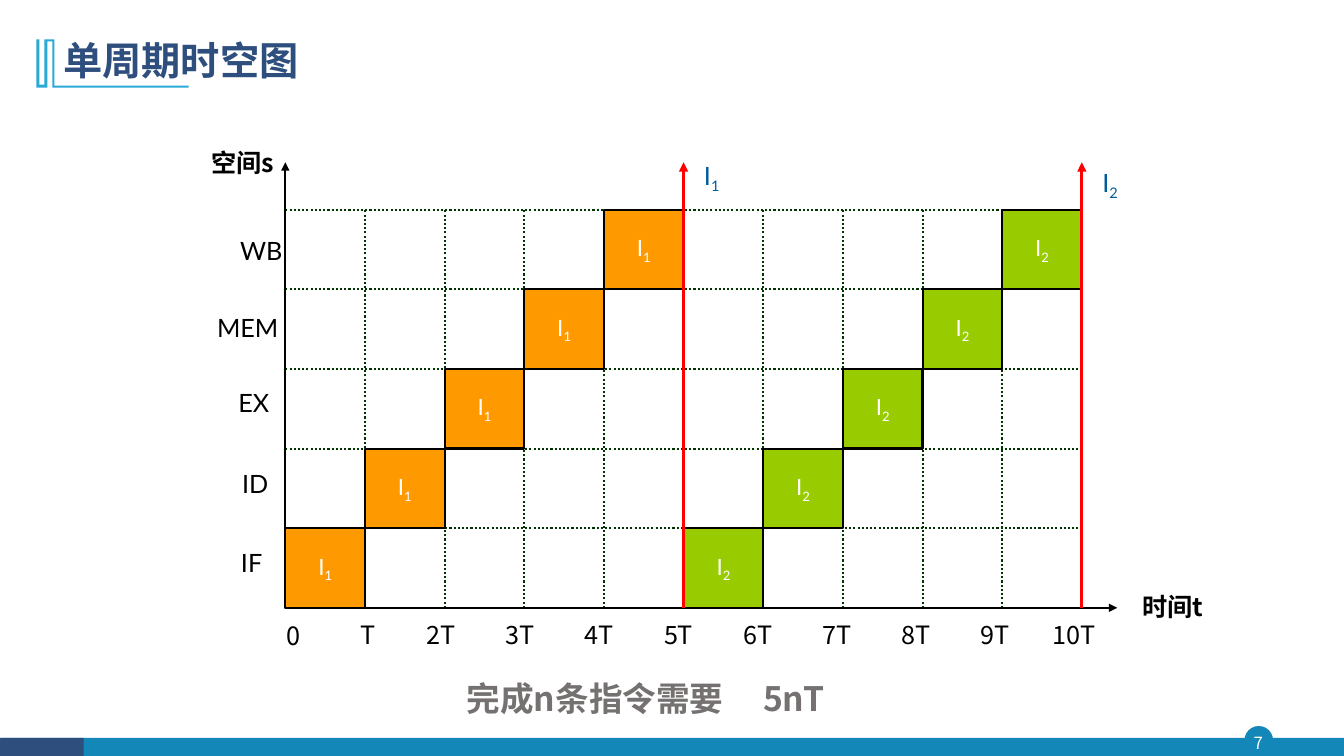
from lxml import etree
from pptx import Presentation
from pptx.dml.color import RGBColor
from pptx.enum.dml import MSO_LINE
from pptx.enum.shapes import MSO_CONNECTOR, MSO_SHAPE
from pptx.enum.text import MSO_ANCHOR, PP_ALIGN
from pptx.oxml.ns import qn
from pptx.util import Inches, Pt

RECT, OVAL = MSO_SHAPE.RECTANGLE, MSO_SHAPE.OVAL
LEFT, CENTER, RIGHT = PP_ALIGN.LEFT, PP_ALIGN.CENTER, PP_ALIGN.RIGHT
MIDDLE = MSO_ANCHOR.MIDDLE
DOTTED = MSO_LINE.ROUND_DOT
LATO, NOTO, MONTSERRAT = "Lato", "Noto Sans CJK SC", "Montserrat"
NAVY, TEAL, BLACK, WHITE = "2E4E7E", "1387B7", "000000", "FFFFFF"
GRID, RED, BLUE, GREY = "003300", "FF0000", "005D9C", "767171"

# Content
TITLE = "单周期时空图"
PAGE = "7"
STAGES = [  # name, left, top, width
    ("IF", 1.74, 5.38, 0.96), ("ID", 1.8, 4.6, 0.96), ("EX", 1.81, 3.79, 0.96),
    ("MEM", 1.7, 3.05, 1.16), ("WB", 2.07, 2.29, 0.83),
]
AXIS_NAMES = [("空间s", 1.68, 1.41, 1.14), ("时间t", 11.02, 5.82, 1.23)]
INSTRUCTIONS = [  # number, cell colour, left and top of the end label
    ("1", "FF9900", 6.58, 1.54), ("2", "99CC00", 10.53, 1.61),
]
TICKS = [("0", 2.91, 6.11), ("T", 3.65, 6.09)]  # name, centre, top
TICKS += [(f"{i}T", 2.81 + 0.784 * i, 6.09) for i in range(2, 11)]
SUMMARY = "完成n条指令需要\t5nT"
ORNAMENT = [
    (0.54, 0.39), (0.54, 0.85), (1.87, 0.85), (1.87, 0.87), (0.52, 0.87), (0.52, 0.41),
    (0.47, 0.41), (0.47, 0.87), (0.36, 0.87), (0.36, 0.39), (0.39, 0.39), (0.39, 0.84),
    (0.44, 0.84), (0.44, 0.39),
]

# Grid measures
X0, Y0, CELL = 2.83, 6.03, 0.79
ROWS = len(STAGES)
COLS = ROWS * len(INSTRUCTIONS)
RIGHT_X, TOP_Y, ARROW_Y = X0 + COLS * CELL, Y0 - ROWS * CELL, 1.61

prs = Presentation()
prs.slide_width, prs.slide_height = Inches(13.33), Inches(7.5)
s = prs.slides.add_slide(prs.slide_layouts[5])


def rgb(color):
    return RGBColor.from_string(color)


def add_run(p, text, size, font, color, bold=False, subscript=False):
    r = p.add_run()
    r.text = text
    r.font.size, r.font.name, r.font.bold = Pt(size), font, bold
    r.font.color.rgb = rgb(color)
    rPr = r.font._element
    etree.SubElement(rPr, qn("a:ea")).set("typeface", NOTO)
    if subscript:
        rPr.set("baseline", "-25000")


def add_instruction(p, number, size, color):
    add_run(p, "I", size, LATO, color)
    add_run(p, number, size, LATO, color, subscript=True)


def paint(sp, fill, line=None, width=1):
    sp.shadow.inherit = False
    sp.fill.solid()
    sp.fill.fore_color.rgb = rgb(fill)
    if line:
        sp.line.color.rgb = rgb(line)
        sp.line.width = Pt(width)
    else:
        sp.line.fill.background()


def add_box(shape, x, y, w, h, fill, line=None, width=1):
    sp = s.shapes.add_shape(shape, Inches(x), Inches(y), Inches(w), Inches(h))
    paint(sp, fill, line, width)
    return sp


def add_text(x, y, w, h=0.4, align=CENTER, wrap=True):
    tf = s.shapes.add_textbox(Inches(x), Inches(y), Inches(w), Inches(h)).text_frame
    tf.word_wrap = wrap
    p = tf.paragraphs[0]
    p.alignment = align
    return tf, p


def add_line(x1, y1, x2, y2, color, width=1.5, dash=None, arrow=False):
    c = s.shapes.add_connector(MSO_CONNECTOR.STRAIGHT, Inches(x1), Inches(y1),
                               Inches(x2), Inches(y2))
    c.line.color.rgb = rgb(color)
    c.line.width = Pt(width)
    if dash:
        c.line.dash_style = dash
    if arrow:
        etree.SubElement(c.line._get_or_add_ln(), qn("a:tailEnd")).set("type", "triangle")
    etree.SubElement(c._element.spPr, qn("a:effectLst"))


# Footer band and page number
add_box(OVAL, 12.35, 7.21, 0.27, 0.27, TEAL, TEAL)
add_box(RECT, 0.01, 7.32, 13.32, 0.19, TEAL)
add_box(RECT, 0, 7.32, 0.83, 0.19, NAVY)
tf, p = add_text(12.32, 7.21, 0.32, 0.31)
tf.margin_left = tf.margin_right = tf.margin_top = tf.margin_bottom = 0
tf.vertical_anchor = MIDDLE
add_run(p, PAGE, 12, NOTO, WHITE)

# Title and its ornament
fb = s.shapes.build_freeform(Inches(ORNAMENT[0][0]), Inches(ORNAMENT[0][1]))
fb.add_line_segments([(Inches(x), Inches(y)) for x, y in ORNAMENT[1:]], close=True)
paint(fb.convert_to_shape(), "28A9D6")
title = s.shapes.title
title.left, title.top = Inches(0.53), Inches(0.28)
title.width, title.height = Inches(11.5), Inches(0.68)
title.text_frame.vertical_anchor = MIDDLE
p = title.text_frame.paragraphs[0]
p.alignment, p.line_spacing = LEFT, 0.9
add_run(p, TITLE, 28, MONTSERRAT, NAVY, bold=True)

# Dotted grid
for row in range(1, ROWS + 1):
    y = Y0 - row * CELL
    add_line(X0, y, RIGHT_X, y, GRID, dash=DOTTED)
for col in range(1, COLS + 1):
    x = X0 + col * CELL
    add_line(x, Y0, x, TOP_Y, GRID, dash=DOTTED)

# Axes
add_line(X0, Y0, 11.08, Y0, BLACK, arrow=True)
add_line(X0, Y0, X0, ARROW_Y, BLACK, arrow=True)
for name, x, y, w in AXIS_NAMES:
    tf, p = add_text(x, y, w, align=RIGHT if x < X0 else CENTER)
    add_run(p, name, 18, NOTO, BLACK, bold=True)
for name, x, y, w in STAGES:
    tf, p = add_text(x, y, w, align=RIGHT)
    add_run(p, name, 18, LATO, BLACK)
for name, center, y in TICKS:
    w = 0.2 + 0.145 * len(name)
    tf, p = add_text(center - w / 2, y, w, wrap=False)
    add_run(p, name, 18, NOTO, BLACK)

# Staircase of cells for each instruction
for n, (number, color, label_x, label_y) in enumerate(INSTRUCTIONS):
    for row in range(ROWS):
        x, y = X0 + (n * ROWS + row) * CELL, Y0 - (row + 1) * CELL
        tf = add_box(RECT, x, y, CELL, CELL, color, BLACK, 1.5).text_frame
        tf.word_wrap, tf.vertical_anchor = False, MIDDLE
        p = tf.paragraphs[0]
        p.alignment = CENTER
        add_instruction(p, number, 16, WHITE)

# Completion arrows
for n, (number, color, label_x, label_y) in enumerate(INSTRUCTIONS, 1):
    x = X0 + n * ROWS * CELL
    add_line(x, Y0, x, ARROW_Y, RED, 2.25, arrow=True)
    tf, p = add_text(label_x, label_y, 0.96)
    add_instruction(p, number, 18, BLUE)

# Summary with a tab stop before the result
tf, p = add_text(4.53, 6.6, 4.01, 0.57, align=LEFT)
p.line_spacing = 1.2
tabs = etree.SubElement(p._p.get_or_add_pPr(), qn("a:tabLst"))
tab = etree.SubElement(tabs, qn("a:tab"))
tab.set("pos", str(Inches(2.94)))
tab.set("algn", "l")
add_run(p, SUMMARY, 24, NOTO, GREY, bold=True)

prs.save("out.pptx")
